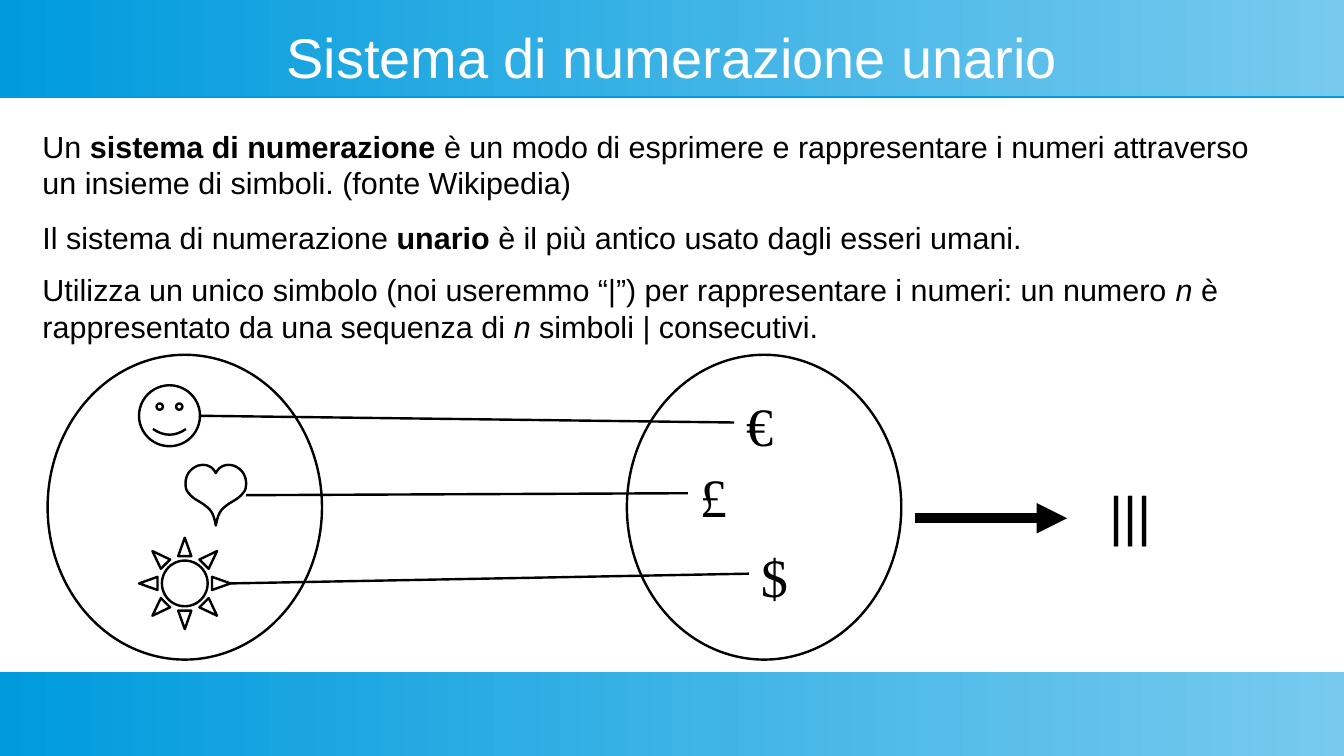
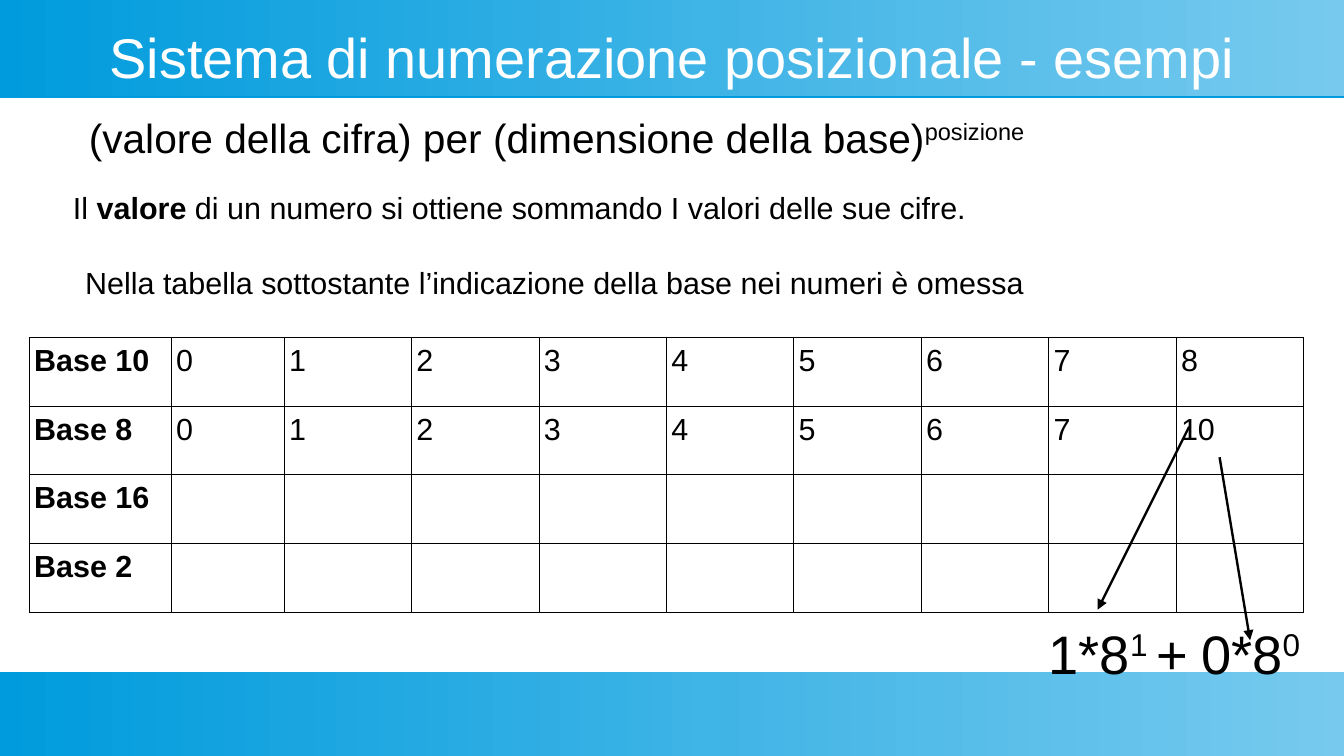
"""Two slides on the unary and positional number systems."""
from lxml.etree import SubElement
from pptx import Presentation
from pptx.dml.color import RGBColor
from pptx.enum.shapes import MSO_CONNECTOR, MSO_SHAPE
from pptx.enum.text import MSO_ANCHOR, PP_ALIGN
from pptx.oxml.ns import qn
from pptx.util import Inches, Pt

BLACK = RGBColor(0, 0, 0)
WHITE = RGBColor(255, 255, 255)
BLUE = RGBColor(0x00, 0x9B, 0xDD)
SKY = RGBColor(0x77, 0xCA, 0xEE)
UNIT = Inches(0.25)
WIDE, HIGH = 44.08, 24.8
THIN = Pt(1.42)


def write(slide, box, paras, size=18, face="Arial", ink=BLACK, wrap=True):
    """Add a text box, placed in grid units, from lists of (text, style) runs."""
    text = slide.shapes.add_textbox(*[int(n * UNIT) for n in box])
    frame = text.text_frame
    frame.word_wrap = wrap
    for i, runs in enumerate(paras):
        para = frame.add_paragraph() if i else frame.paragraphs[0]
        if i:
            para.space_before = Pt(9)
        para.font.size = Pt(size)
        para.font.name = face
        para.font.color.rgb = ink
        for words, style in runs:
            run = para.add_run()
            run.text = words
            if style == "b":
                run.font.bold = True
            elif style == "i":
                run.font.italic = True
            elif style == "sup":
                run._r.get_or_add_rPr().set("baseline", "33000")
    return text


def draw(slide, start, end, width=THIN, head=False):
    """Add a straight black line between two points in grid units."""
    ends = [int(n * UNIT) for n in (*start, *end)]
    line = slide.shapes.add_connector(MSO_CONNECTOR.STRAIGHT, *ends)
    line.line.color.rgb = BLACK
    line.line.width = width
    if head:
        SubElement(line.line._get_or_add_ln(), qn("a:tailEnd"), type="triangle")
    SubElement(line._element.spPr, qn("a:effectLst"))
    return line


deck = Presentation()
deck.slide_width = int(WIDE * UNIT)
deck.slide_height = int(HIGH * UNIT)

pages = []
for name in ("Sistema di numerazione unario", "Sistema di numerazione posizionale - esempi"):
    page = deck.slides.add_slide(deck.slide_layouts[6])
    for top, tall in ((0, 3.16), (22.04, 2.76)):
        spot = [int(n * UNIT) for n in (0, top, WIDE, tall)]
        band = page.shapes.add_shape(MSO_SHAPE.RECTANGLE, *spot)
        band.fill.gradient()
        band.fill.gradient_angle = 0
        for stop, tint in zip(band.fill.gradient_stops, (BLUE, SKY)):
            stop.color.rgb = tint
        band.line.fill.background()
        band.shadow.inherit = False
        glow = band._element.spPr.find(qn("a:effectLst"))
        cast = SubElement(glow, qn("a:outerShdw"), dist=str(Pt(0.9)), dir="5400000", rotWithShape="0")
        SubElement(cast, qn("a:srgbClr"), val=str(BLUE))
    title = write(page, (1.56, 0.8, 40.96, 2.08), [[(name, "")]], 33, ink=WHITE).text_frame
    title.margin_left = title.margin_right = title.margin_top = title.margin_bottom = 0
    title.vertical_anchor = MSO_ANCHOR.MIDDLE
    title.paragraphs[0].alignment = PP_ALIGN.CENTER
    pages.append(page)
unary, place = pages

write(unary, (1, 4, 41, 2.64), [[
    ("Un ", ""), ("sistema di numerazione", "b"),
    (" è un modo di esprimere e rappresentare i numeri attraverso "
     "un insieme di simboli. (fonte Wikipedia)", "")]])
write(unary, (1, 7, 41, 4.24), [
    [("Il sistema di numerazione ", ""), ("unario", "b"),
     (" è il più antico usato dagli esseri umani.", "")],
    [("Utilizza un unico simbolo (noi useremmo “|”) per rappresentare i numeri: un numero ", ""),
     ("n", "i"), (" è rappresentato da una sequenza di ", ""),
     ("n ", "i"), ("simboli | consecutivi.", "")]])

forms = []
for kind, box in (
    (MSO_SHAPE.OVAL, (1.56, 11.64, 9, 10)),
    (MSO_SHAPE.OVAL, (20.56, 11.64, 9, 10)),
    (MSO_SHAPE.SMILEY_FACE, (4.56, 12.64, 2, 2)),
    (MSO_SHAPE.SUN, (4.56, 17.64, 3, 3)),
):
    forms.append(unary.shapes.add_shape(kind, *[int(n * UNIT) for n in box]))

curves = (
    ((0, 2), (-0.04, 1.8), (-0.08, 1.56), (-0.28, 1.4)),
    ((-0.28, 1.4), (-0.56, 1.16), (-0.76, 1.16), (-0.96, 0.84)),
    ((-0.96, 0.84), (-1.04, 0.6), (-1, 0.2), (-0.6, 0.04)),
    ((-0.6, 0.04), (-0.2, -0.08), (-0.04, 0.2), (0, 0.28)),
)
STEPS = 12
half = []
for a, b, c, d in curves:
    for k in range(STEPS):
        t = k / STEPS
        s = 1 - t
        half.append([s**3 * a[j] + 3 * s * s * t * b[j] + 3 * s * t * t * c[j] + t**3 * d[j]
                     for j in (0, 1)])
half.append(curves[-1][-1])
whole = half + [(-x, y) for x, y in half[-2:0:-1]]
points = [(int((7.08 + x) * UNIT), int((15.24 + y) * UNIT)) for x, y in whole]
pen = unary.shapes.build_freeform(*points[0])
pen.add_line_segments(points[1:], close=True)
heart = pen.convert_to_shape()

for form in (*forms, heart):
    form.fill.background()
    form.line.color.rgb = BLACK
    form.line.width = THIN
    form.shadow.inherit = False

smile, sun = forms[2:]
for form, sign, left, top in (
    (smile, "€", 24.08, 12.68), (heart, "£", 22.56, 15), (sun, "$", 24.56, 17.64),
):
    coin = write(unary, (left, top, 2, 2.36), [[(sign, "")]], 32, "Times New Roman")
    start = ((form.left + form.width) / UNIT, (form.top + form.height / 2) / UNIT)
    draw(unary, start, (left, top + 1.18)).end_connect(coin, 1)

write(unary, (36, 15.6, 4, 2.4), [[("|||", "")]], 32)
draw(unary, (30, 17), (35, 17), Pt(6), True)

write(place, (2.52, 3.52, 31.48, 1.88), [[
    ("(valore della cifra) per (dimensione della base)", ""), ("posizione", "sup")]], 24, wrap=False)
write(place, (2, 6, 37, 3), [[
    ("Il ", ""), ("valore", "b"),
    (" di un numero si ottiene sommando I valori delle sue cifre.", "")]])
write(place, (2.4, 8.48, 31.6, 1.52), [[
    ("Nella tabella sottostante l’indicazione della base nei numeri è omessa", "")]])

rows = (
    ["Base 10", *range(9)],
    ["Base 8", *range(8), 10],
    ["Base 16"] + [""] * 9,
    ["Base 2"] + [""] * 9,
)
spans = [4.66, 3.7] + [4.18] * 8
spot = [int(n * UNIT) for n in (0.96, 11.08, sum(spans), 9)]
grid = place.shapes.add_table(len(rows), len(spans), *spot).table
grid.first_row = grid.horz_banding = False
for col, span in zip(grid.columns, spans):
    col.width = int(span * UNIT)
for r, row in enumerate(rows):
    for c, value in enumerate(row):
        cell = grid.cell(r, c)
        cell.text = str(value)
        cell.margin_left = cell.margin_right = Inches(0.04)
        font = cell.text_frame.paragraphs[0].font
        font.size = Pt(18)
        font.name = "Arial"
        font.bold = c == 0
        font.color.rgb = BLACK
        for side in ("lnL", "lnR", "lnT", "lnB"):
            edge = SubElement(cell._tc.get_or_add_tcPr(), qn("a:" + side), w=str(Pt(0.57)))
            SubElement(SubElement(edge, qn("a:solidFill")), qn("a:srgbClr"), val=str(BLACK))
        cell.fill.background()

write(place, (39, 20.16, 4.52, 1.52), [[("0*8", ""), ("0", "sup")]], 32)
write(place, (34, 20.16, 6, 1.52), [[("1*8", ""), ("1 ", "sup"), ("+", "")]], 32)
draw(place, (40, 15), (41, 21), head=True)
draw(place, (39, 14), (36, 20), head=True)

deck.save("out.pptx")
